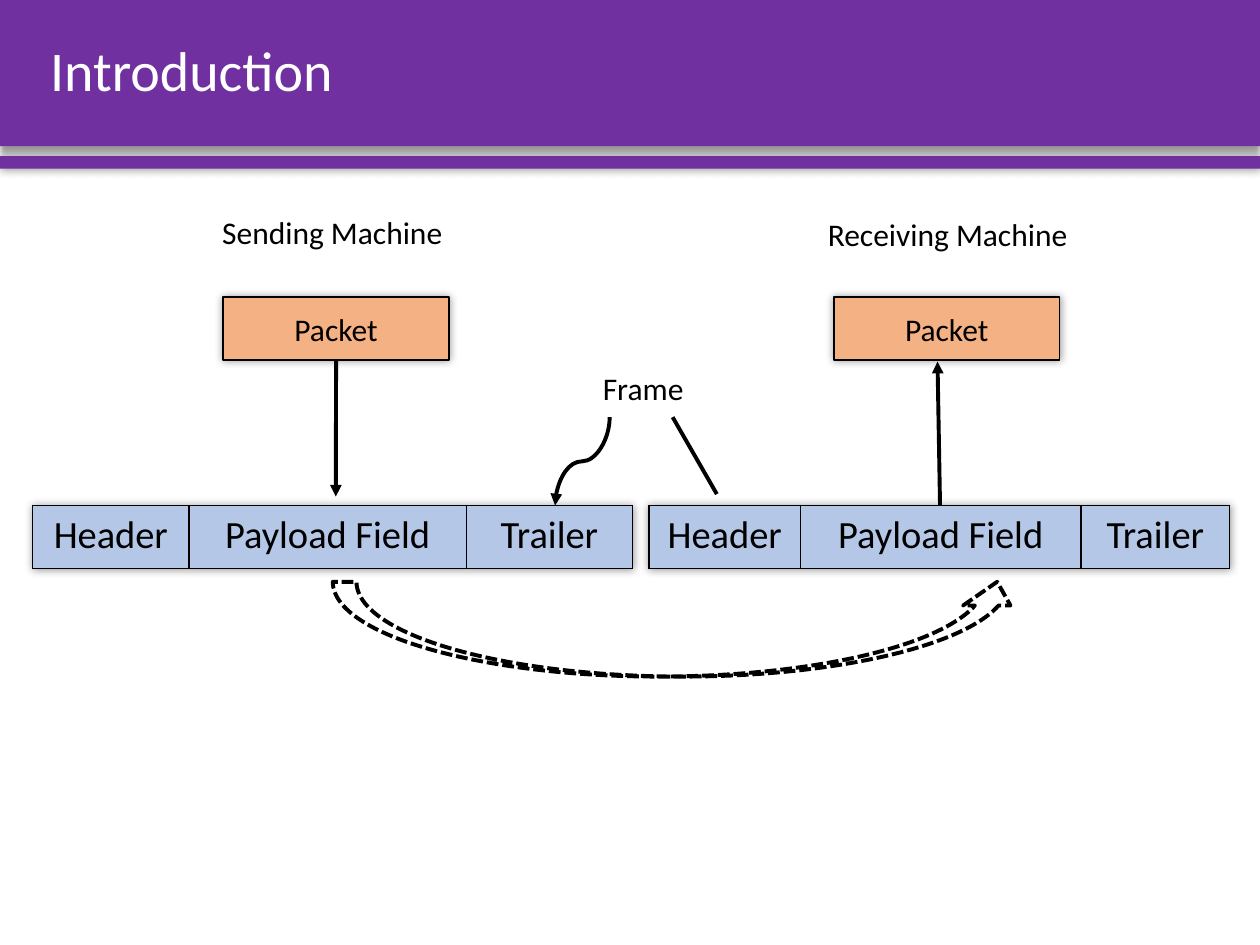
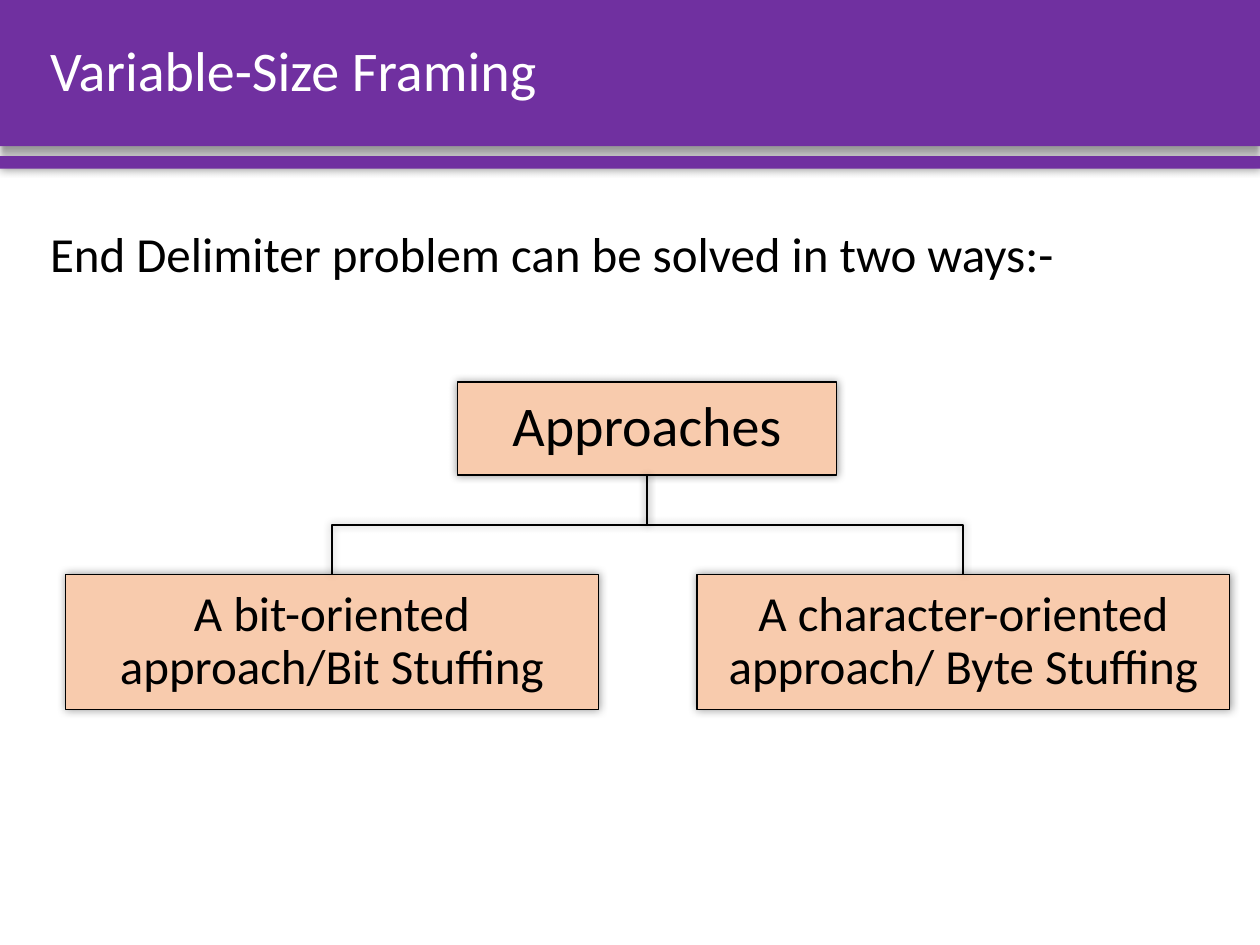
from pptx import Presentation, oxml, util as u
from pptx.dml.color import RGBColor
from pptx.enum import dml, shapes, text
from pptx.oxml import ns

COLORS = {
    "band": "7030A0",
    "title": "FFFFFF",
    "ink": "000000",
    "packet": "F4B183",
    "frame": "B4C7E7",
    "approach": "F8CBAD",
}
RGB = {name: RGBColor.from_string(value) for name, value in COLORS.items()}
FONT = "Calibri"
RECT = shapes.MSO_SHAPE.RECTANGLE
STRAIGHT = shapes.MSO_CONNECTOR.STRAIGHT
CURVE = shapes.MSO_CONNECTOR.CURVE


def write(tf, content, size=18, color="ink", align="CENTER", anchor=None,
          spacing=1.0, inset=None):
    tf.word_wrap = True
    if anchor:
        tf.vertical_anchor = text.MSO_ANCHOR[anchor]
    if inset is not None:
        tf.margin_left = tf.margin_right = u.Cm(inset)
        tf.margin_top = tf.margin_bottom = u.Cm(inset)
    p = tf.paragraphs[0]
    p.alignment = text.PP_ALIGN[align]
    p.line_spacing = spacing
    r = p.add_run()
    r.text = content
    r.font.name = FONT
    r.font.size = u.Pt(size)
    r.font.color.rgb = RGB[color]


def effects(blur=5, dist=0, angle=0, visible=True):
    shadow = (
        f'<a:outerShdw blurRad="{u.Pt(blur)}" dist="{u.Pt(dist)}" dir="{angle * 60000}" '
        f'algn="ctr" rotWithShape="0"><a:srgbClr val="{COLORS["ink"]}">'
        '<a:alpha val="40000"/></a:srgbClr></a:outerShdw>'
    ) if visible else ""
    return oxml.parse_xml(f'<a:effectLst {ns.nsdecls("a")}>{shadow}</a:effectLst>')


prs = Presentation()
prs.slide_width, prs.slide_height = u.Cm(25.4), u.Cm(19.05)

slides = []
for title in ("Introduction", "Variable-Size Framing"):
    s = prs.slides.add_slide(prs.slide_layouts[6])
    for top, height, shadow in ((0, 2.95, (4, 3, 90)), (3.15, 0.25, (5, 0, 0))):
        sp = s.shapes.add_shape(RECT, 0, u.Cm(top), prs.slide_width, u.Cm(height))
        sp.fill.solid()
        sp.fill.fore_color.rgb = RGB["band"]
        sp.line.fill.background()
        sp._element.spPr.append(effects(*shadow))
    tb = s.shapes.add_textbox(u.Cm(0.76), 0, u.Cm(24.03), u.Cm(2.95))
    write(tb.text_frame, title, size=32, color="title", align="LEFT",
          anchor="MIDDLE", spacing=0.9)
    slides.append(s)
intro, framing = slides

for left, widths in ((0.66, (3.15, 5.59, 3.35)), (13.08, (3.06, 5.65, 3.0))):
    gf = intro.shapes.add_table(1, 3, u.Cm(left), u.Cm(10.19),
                                u.Cm(sum(widths)), u.Cm(1.27))
    table = gf.table
    table.first_row = table.horz_banding = False
    table._tbl.tblPr.insert(0, effects())
    table.rows[0].height = u.Cm(1.27)
    for i, (width, field) in enumerate(zip(widths, ("Header", "Payload Field", "Trailer"))):
        table.columns[i].width = u.Cm(width)
        cell = table.cell(0, i)
        write(cell.text_frame, field, size=22)
        for side in ("lnL", "lnR", "lnT", "lnB"):
            cell._tc.get_or_add_tcPr().append(oxml.parse_xml(
                f'<a:{side} {ns.nsdecls("a")} w="{u.Pt(1)}"><a:solidFill>'
                f'<a:srgbClr val="{COLORS["ink"]}"/></a:solidFill></a:{side}>'))
        cell.fill.solid()
        cell.fill.fore_color.rgb = RGB["frame"]

sp = intro.shapes.add_shape(shapes.MSO_SHAPE.CURVED_UP_ARROW,
                            u.Cm(6.71), u.Cm(11.73), u.Cm(13.87), u.Cm(1.91))
sp.shadow.inherit = False
sp.fill.background()
sp.line.color.rgb = RGB["ink"]
sp.line.width = u.Pt(2.25)
sp.line.dash_style = dml.MSO_LINE.SQUARE_DOT

boxes = []
for s, label, left, top, width, height, fill, border, size in (
    (intro, "Packet", 4.5, 5.99, 4.55, 1.27, "packet", 1, 18),
    (intro, "Packet", 16.81, 5.99, 4.55, 1.27, "packet", 1, 18),
    (framing, "Approaches", 9.22, 7.7, 7.65, 1.88, "approach", 0.75, 32),
    (framing, "A bit-oriented approach/Bit Stuffing",
     1.32, 11.58, 10.74, 2.72, "approach", 0.75, 28),
    (framing, "A character-oriented approach/ Byte Stuffing",
     14.05, 11.58, 10.74, 2.72, "approach", 0.75, 28),
):
    sp = s.shapes.add_shape(RECT, u.Cm(left), u.Cm(top), u.Cm(width), u.Cm(height))
    sp.fill.solid()
    sp.fill.fore_color.rgb = RGB[fill]
    sp.line.color.rgb = RGB["ink"]
    sp.line.width = u.Pt(border)
    sp._element.spPr.append(effects())
    write(sp.text_frame, label, size=size, anchor="MIDDLE", inset=0.05,
          spacing=0.9 if s is framing else 1.0)
    boxes.append(sp)
sent_packet, received_packet, root, *branches = boxes

for label, left, top, width in (
    ("Frame", 11.2, 7.32, 3.53),
    ("Sending Machine", 4.11, 4.17, 5.18),
    ("Receiving Machine", 16.26, 4.22, 5.69),
):
    tb = intro.shapes.add_textbox(u.Cm(left), u.Cm(top), u.Cm(width), u.Cm(1.02))
    write(tb.text_frame, label)

connectors = []
for kind, x1, y1, x2, y2, arrow in (
    (CURVE, 10.85, 8.75, 12.63, 9.85, True),
    (STRAIGHT, 13.56, 8.41, 14.45, 9.96, False),
    (STRAIGHT, 6.77, 7.26, 6.77, 10.01, True),
    (STRAIGHT, 18.95, 10.19, 18.9, 7.29, True),
):
    cn = intro.shapes.add_connector(kind, u.Cm(x1), u.Cm(y1), u.Cm(x2), u.Cm(y2))
    cn.line.color.rgb = RGB["ink"]
    cn.line.width = u.Pt(2.25)
    if arrow:
        cn.line._get_or_add_ln().append(
            oxml.parse_xml(f'<a:tailEnd {ns.nsdecls("a")} type="triangle"/>'))
    cn._element.spPr.append(effects(visible=False))
    connectors.append(cn)
connectors[0]._element.spPr.xfrm.set("rot", str(90 * 60000))
connectors[2].begin_connect(sent_packet, 2)

tb = framing.shapes.add_textbox(u.Cm(0.76), u.Cm(3.78), u.Cm(24.03), u.Cm(2.95))
write(tb.text_frame, "End Delimiter problem can be solved in two ways:-",
      size=28, align="LEFT", spacing=1.5)

root_x = root.left + root.width // 2
root_bottom = root.top + root.height
for branch in branches:
    branch_x = branch.left + branch.width // 2
    middle = (root_bottom + branch.top) // 2
    fb = framing.shapes.build_freeform(root_x, root_bottom)
    fb.add_line_segments([(root_x, middle), (branch_x, middle), (branch_x, branch.top)],
                         close=False)
    sp = fb.convert_to_shape()
    sp.fill.background()
    sp.line.color.rgb = RGB["ink"]
    sp.line.width = u.Pt(1)
    sp._element.spPr.append(effects())

prs.save("out.pptx")
